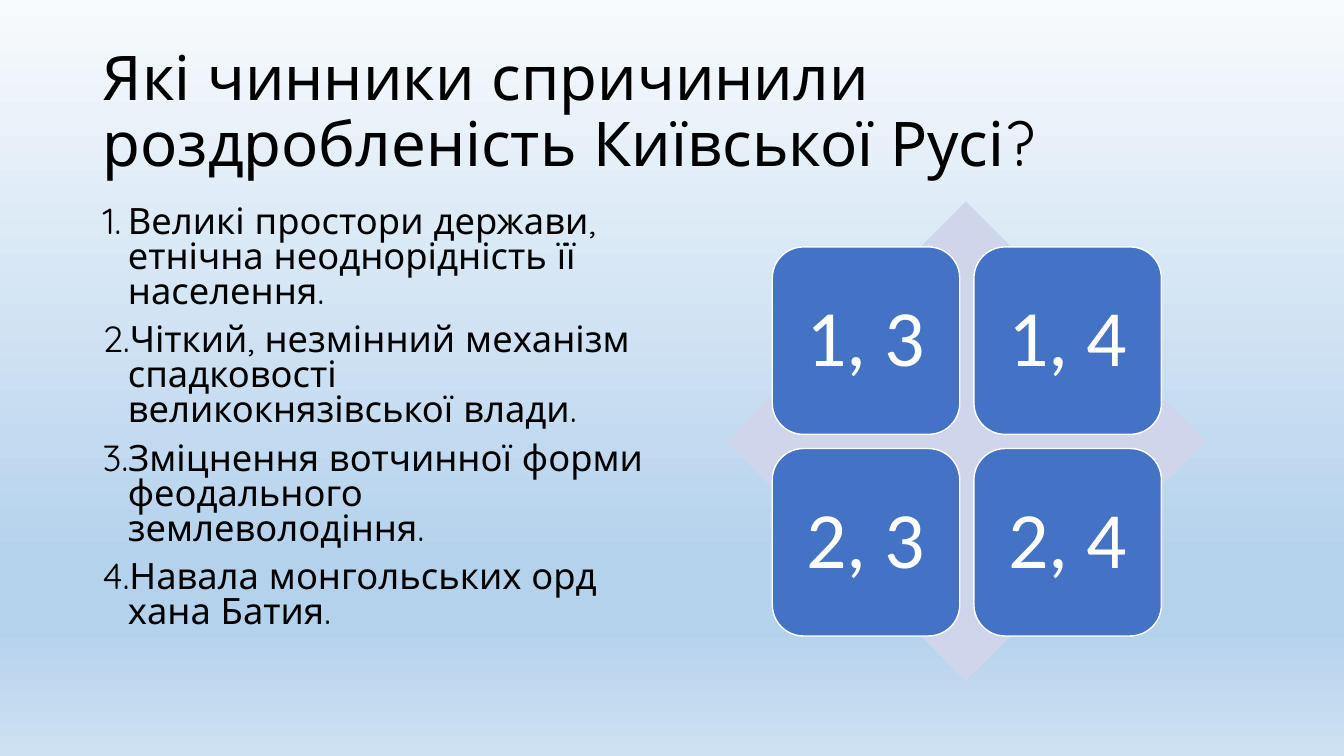
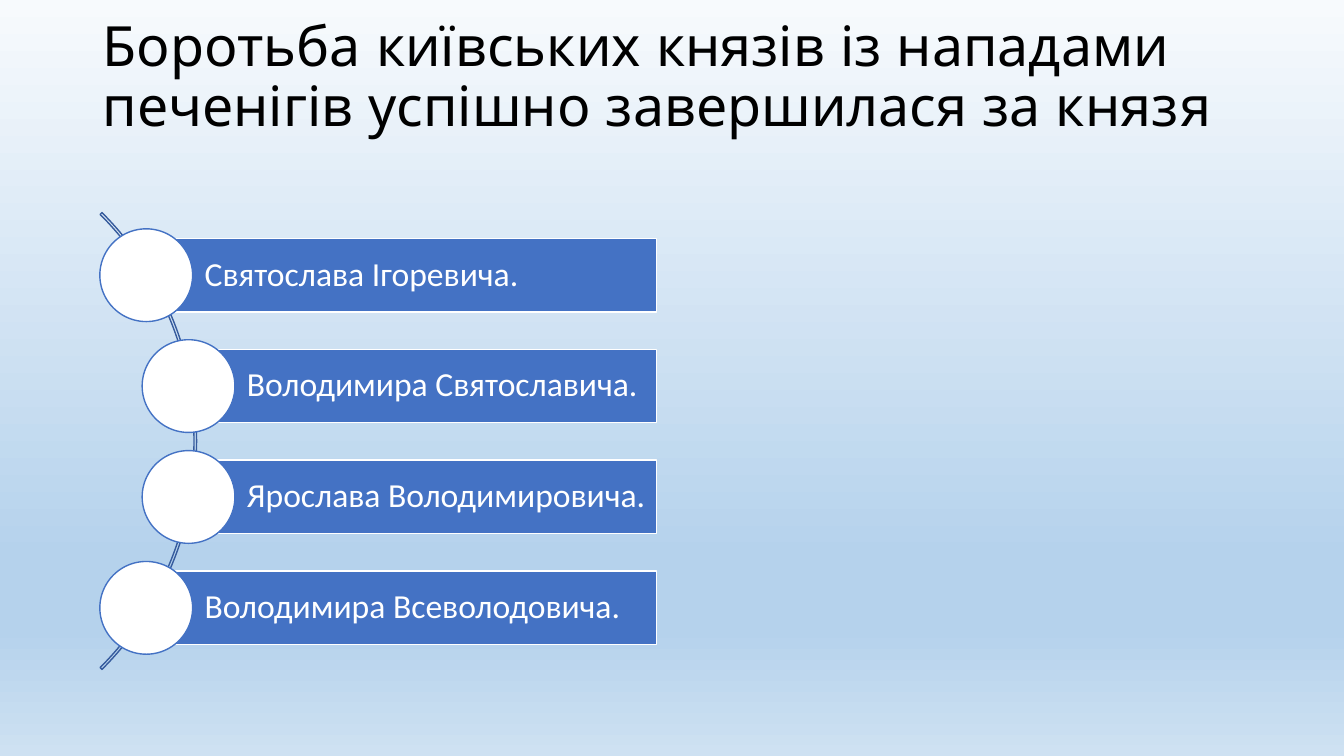
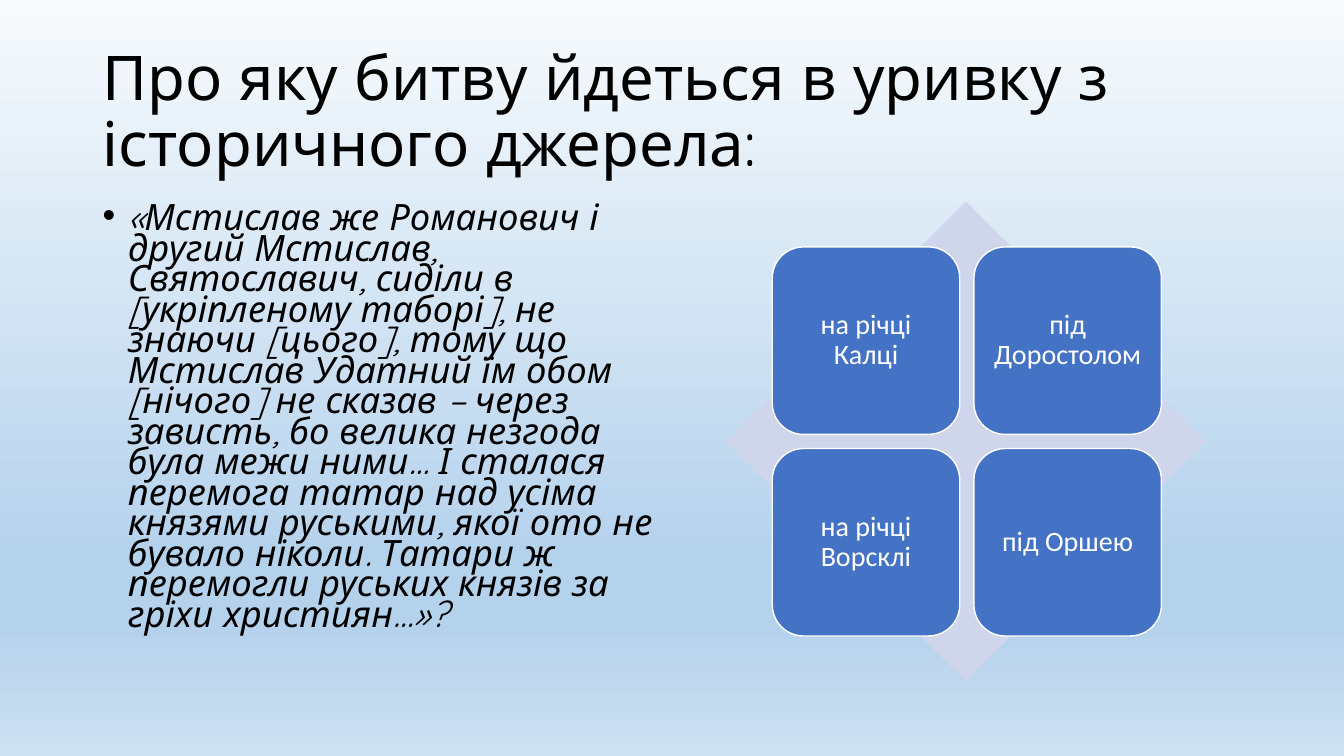
import pptx
import pptx.util
import pptx.dml.color
import pptx.enum.shapes
import pptx.enum.text
import pptx.oxml
import pptx.oxml.ns

Inches = pptx.util.Inches
SHAPES = pptx.enum.shapes.MSO_SHAPE
ALIGN = pptx.enum.text.PP_ALIGN
ANCHOR = pptx.enum.text.MSO_ANCHOR

BACKGROUND = [(0, "F7FAFD"), (74, "B5D2EC"), (83, "B5D2EC"), (100, "CEE1F2")]
BLACK, WHITE, BLUE, PALE, DARK_BLUE = "000000", "FFFFFF", "4472C4", "CFD5EA", "365B9D"
HEADING_FONT, ANSWER_FONT = "Quicksand", "Calibri"
NUMBER = '<a:buFont {} typeface="+mj-lt"/>', '<a:buAutoNum {} type="arabicPeriod"/>'
BULLET = '<a:buFont {} typeface="Arial"/>', '<a:buChar {} char="•"/>'

FACTORS = {
    "title": "Які чинники спричинили роздробленість Київської Русі?",
    "body": [
        "Великі простори держави, етнічна неоднорідність її населення.",
        "Чіткий, незмінний механізм спадковості великокнязівської влади.",
        "Зміцнення вотчинної форми феодального землеволодіння.",
        "Навала монгольських орд хана Батия.",
    ],
    "answers": ["1, 3", "1, 4", "2, 3", "2, 4"],
}
PRINCES = {
    "title": "Боротьба київських князів із нападами печенігів успішно завершилася за князя",
    "answers": [
        ("Святослава Ігоревича.", 1.45),
        ("Володимира Святославича.", 1.87),
        ("Ярослава Володимировича.", 1.87),
        ("Володимира Всеволодовича.", 1.45),
    ],
}
BATTLE = {
    "title": "Про яку битву йдеться в уривку з історичного джерела:",
    "body": [
        "«Мстислав же Романович і другий Мстислав, Святославич, сиділи в [укріпленому таборі], "
        "не знаючи [цього], тому що Мстислав Удатний їм обом [нічого] не сказав – через зависть, "
        "бо велика незгода була межи ними… І сталася перемога татар над усіма князями руськими, "
        "якої ото не бувало ніколи. Татари ж перемогли руських князів за гріхи християн…»?",
    ],
    "answers": ["на річці Калці", "під Доростолом", "на річці Ворсклі", "під Оршею"],
}


def color(value):
    return pptx.dml.color.RGBColor.from_string(value)


def set_background(master):
    fill = master.background.fill
    fill.gradient()
    fill.gradient_angle = 270
    stops = next(master.element.cSld.iter(pptx.oxml.ns.qn("a:gsLst")))
    for stop in list(stops):
        stops.remove(stop)
    for position, value in BACKGROUND:
        stops.append(pptx.oxml.parse_xml(
            f'<a:gs {pptx.oxml.ns.nsdecls("a")} pos="{position * 1000}">'
            f'<a:srgbClr val="{value}"/></a:gs>'))


def add_shape(slide, kind, left, top, width, height, fill=None, line=None):
    shape = slide.shapes.add_shape(kind, Inches(left), Inches(top), Inches(width), Inches(height))
    shape.shadow.inherit = False
    if fill:
        shape.fill.solid()
        shape.fill.fore_color.rgb = color(fill)
    else:
        shape.fill.background()
    if line:
        shape.line.color.rgb = color(line)
        shape.line.width = pptx.util.Pt(1)
    else:
        shape.line.fill.background()
    return shape


def add_run(paragraph, text, font, size, value, spacing=0.9, italic=False):
    paragraph.line_spacing = spacing
    run = paragraph.add_run()
    run.text = text
    run.font.name = font
    run.font.size = pptx.util.Pt(size)
    run.font.color.rgb = color(value)
    if italic:
        run.font.italic = True


def write_answer(shape, text, size, align, left, inset):
    frame = shape.text_frame
    frame.word_wrap = True
    frame.vertical_anchor = ANCHOR.MIDDLE
    frame.margin_left = Inches(left)
    frame.margin_right = frame.margin_top = frame.margin_bottom = Inches(inset)
    paragraph = frame.paragraphs[0]
    paragraph.alignment = align
    add_run(paragraph, text, ANSWER_FONT, size, WHITE)


def add_text_box(slide, left, top, width, height):
    frame = slide.shapes.add_textbox(
        Inches(left), Inches(top), Inches(width), Inches(height)).text_frame
    frame.word_wrap = True
    return frame


def add_titled_slide(presentation, title, size=44, top=0.4):
    slide = presentation.slides.add_slide(presentation.slide_layouts[6])
    frame = add_text_box(slide, 0.92, top, 11.5, 1.45)
    frame.vertical_anchor = ANCHOR.MIDDLE
    add_run(frame.paragraphs[0], title, HEADING_FONT, size, BLACK)
    return slide


def add_body(slide, texts, marker, spacing, italic=False):
    frame = add_text_box(slide, 0.92, 2, 5.67, 4.76)
    for index, text in enumerate(texts):
        paragraph = frame.add_paragraph() if index else frame.paragraphs[0]
        properties = paragraph._p.get_or_add_pPr()
        properties.set("marL", str(Inches(0.25)))
        properties.set("indent", str(Inches(-0.25)))
        for element in marker:
            properties.append(pptx.oxml.parse_xml(element.format(pptx.oxml.ns.nsdecls("a"))))
        if index:
            paragraph.space_before = pptx.util.Pt(10)
        add_run(paragraph, text, HEADING_FONT, 25.9, BLACK, spacing, italic)


def add_answer_grid(slide, answers, size, inset):
    add_shape(slide, SHAPES.DIAMOND, 7.2, 2, 4.76, 4.76, PALE)
    for index, text in enumerate(answers):
        row, column = divmod(index, 2)
        tile = add_shape(slide, SHAPES.ROUNDED_RECTANGLE, 7.66 + 2 * column, 2.45 + 2 * row,
                         1.86, 1.86, BLUE, WHITE)
        write_answer(tile, text, size, ALIGN.CENTER, inset, inset)


def add_answer_arc(slide, answers):
    arc = add_shape(slide, SHAPES.BLOCK_ARC, -4.46, 1.17, 6.41, 6.41, line=DARK_BLUE)
    for index, value in enumerate((189, 27, 0.004)):
        arc.adjustments[index] = value
    right, bar_height, diameter = 6.51, 0.73, 0.92
    for index, (text, left) in enumerate(answers):
        middle = 2.73 + 1.1 * index
        bar = add_shape(slide, SHAPES.RECTANGLE, left, middle - bar_height / 2,
                        right - left, bar_height, BLUE, WHITE)
        write_answer(bar, text, 24, ALIGN.LEFT, 0.58, 0.07)
        add_shape(slide, SHAPES.OVAL, left - diameter / 2, middle - diameter / 2,
                  diameter, diameter, WHITE, BLUE)


def main():
    """Build the three quiz slides and save them."""
    presentation = pptx.Presentation()
    presentation.slide_width = Inches(13.33)
    presentation.slide_height = Inches(7.5)
    set_background(presentation.slide_master)

    slide = add_titled_slide(presentation, FACTORS["title"])
    add_body(slide, FACTORS["body"], NUMBER, 0.8)
    add_answer_grid(slide, FACTORS["answers"], 57, 0.24)

    slide = add_titled_slide(presentation, PRINCES["title"], 39.6, 0.05)
    add_answer_arc(slide, PRINCES["answers"])

    slide = add_titled_slide(presentation, BATTLE["title"])
    add_body(slide, BATTLE["body"], BULLET, 0.7, italic=True)
    add_answer_grid(slide, BATTLE["answers"], 20, 0.08)

    presentation.save("out.pptx")


if __name__ == "__main__":
    main()
